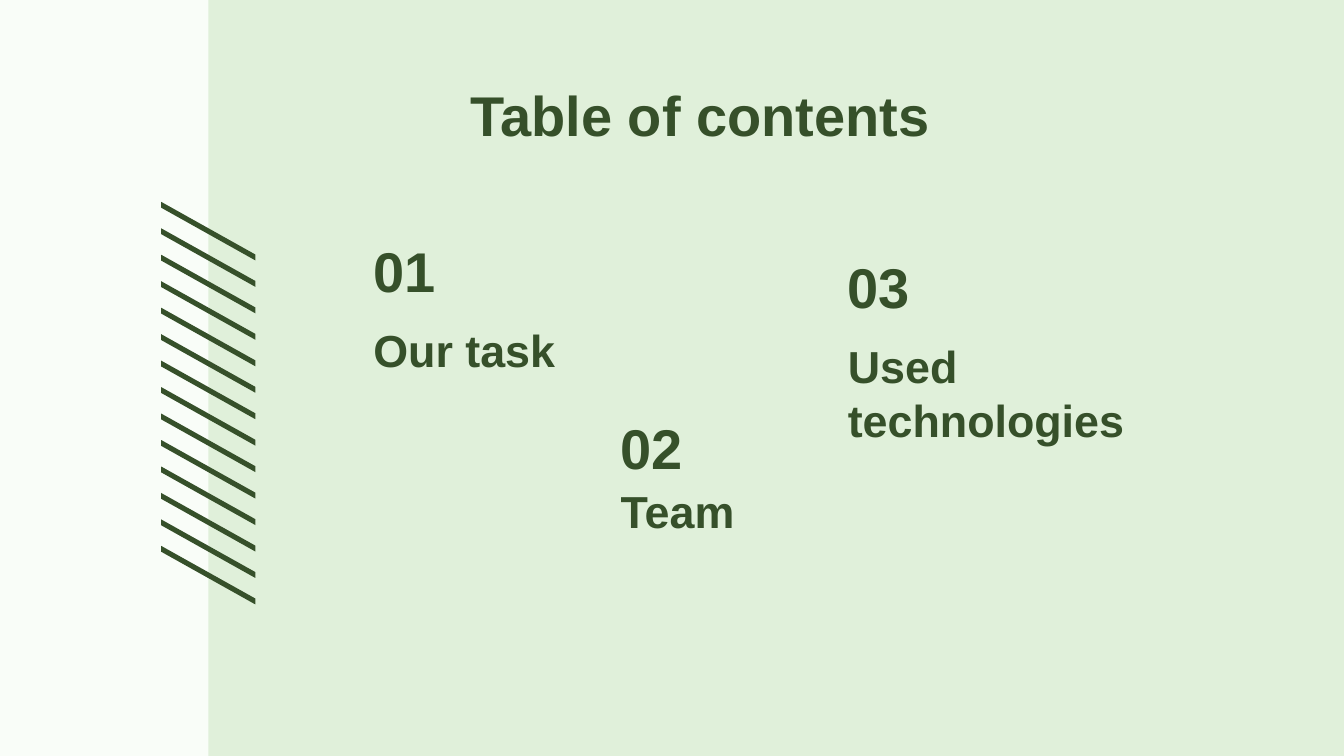
from lxml import etree
from pptx import Presentation
from pptx.dml.color import RGBColor
from pptx.enum import shapes, text
from pptx.oxml.ns import qn
from pptx.util import Inches, Pt

COLORS = {"background": "F9FDF8", "panel": "E0F0DA", "ink": "36502A"}


def paint(fill, color):
    fill.solid()
    fill.fore_color.rgb = RGBColor.from_string(COLORS[color])


def write(box, words, size, anchor):
    frame = box.text_frame
    frame.text = words
    frame.word_wrap = True
    frame.auto_size = text.MSO_AUTO_SIZE.NONE
    frame.vertical_anchor = anchor
    frame.margin_left = frame.margin_right = Inches(0.1)
    frame.margin_top = frame.margin_bottom = Inches(0.1)
    paragraph = frame.paragraphs[0]
    paragraph.alignment = text.PP_ALIGN.LEFT
    font = paragraph.runs[0].font
    font.name, font.size, font.bold = "Arial", Pt(size), True
    font.color.rgb = RGBColor.from_string(COLORS["ink"])


# Widescreen 16:9 slide
deck = Presentation()
deck.slide_width, deck.slide_height = Inches(10), Inches(10 * 9 / 16)
slide = deck.slides.add_slide(deck.slide_layouts[5])

# Background and green panel, placed behind the title
paint(slide.background.fill, "background")
panel = slide.shapes.add_shape(
    shapes.MSO_SHAPE.RECTANGLE, Inches(1.55), 0, Inches(8.45), deck.slide_height)
panel.shadow.inherit = False
paint(panel.fill, "panel")
panel.line.fill.background()
title = slide.shapes.title
title.element.addprevious(panel.element)

# Title
title.left, title.top = Inches(3.4), Inches(0.5)
title.width, title.height = Inches(5.11), Inches(0.63)
write(title, "Table of contents", 30, text.MSO_ANCHOR.TOP)

# Sections: left, number top, heading top, width and height, heading
sections = [
    (2.68, 1.73, 2.04, 1.74, 0.86, "Our task"),
    (4.52, 3.05, 3.24, 1.71, 0.86, "Team"),
    (6.21, 1.85, 2.58, 2.39, 0.84, "Used technologies"),
]
for index, (left, number_top, heading_top, width, height, words) in enumerate(sections, 1):
    number = slide.shapes.add_textbox(
        Inches(left), Inches(number_top), Inches(0.8), Inches(0.63))
    write(number, f"{index:02}", 30, text.MSO_ANCHOR.BOTTOM)
    heading = slide.shapes.add_textbox(
        Inches(left), Inches(heading_top), Inches(width), Inches(height))
    write(heading, words, 24, text.MSO_ANCHOR.BOTTOM)

# Slanted stripes across the panel edge
stripes = slide.shapes.add_group_shape()
stripe_count, first_top, last_top = 14, 1.52, 4.08
left, right = Inches(1.21), Inches(1.89)
drop, thickness = Inches(0.38), Inches(0.02)
for index in range(stripe_count):
    top = Inches(first_top + index * (last_top - first_top) / (stripe_count - 1))
    outline = stripes.shapes.build_freeform(left, top)
    outline.add_line_segments([
        (right, top + drop),
        (right, top + drop + thickness),
        (left, top + thickness),
    ], close=True)
    stripe = outline.convert_to_shape()
    stripe.shadow.inherit = False
    paint(stripe.fill, "ink")
    paint(stripe.line.fill, "ink")
    stripe.line.width = Pt(1.5)
    # Sharp corners
    border = stripe.element.spPr.find(qn("a:ln"))
    etree.SubElement(border, qn("a:miter"), lim="800000")

deck.save("out.pptx")
